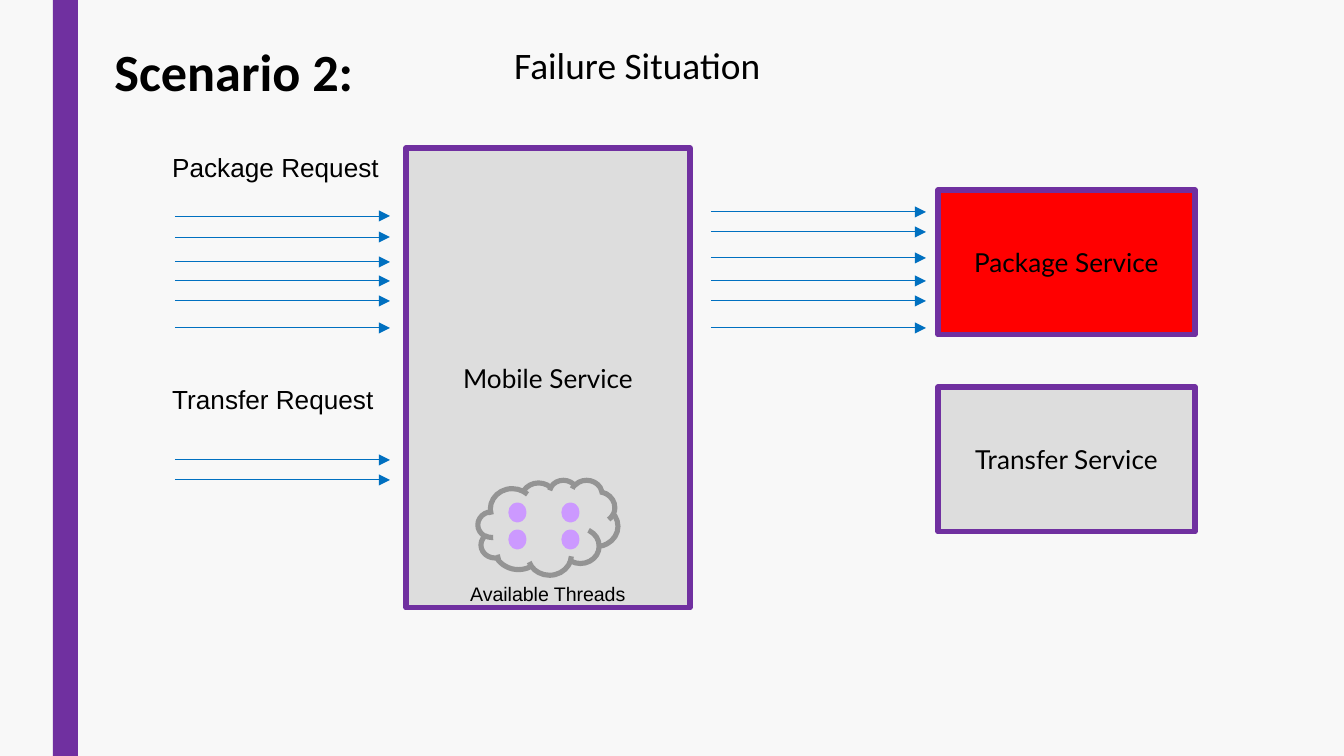
from itertools import product

from lxml.etree import SubElement
from pptx import Presentation
from pptx.dml.color import RGBColor
from pptx.enum.shapes import MSO_CONNECTOR as Connector, MSO_SHAPE as Shape
from pptx.enum.text import MSO_ANCHOR as Anchor, MSO_AUTO_SIZE as AutoSize, PP_ALIGN as Align
from pptx.oxml.ns import qn
from pptx.util import Emu, Pt

EMU_PER_PX = 914400 / 134.4
COLORS = {
    "background": "F8F8F8",
    "purple": "7030A0",
    "box": "DDDDDD",
    "failed": "FF0000",
    "arrow": "0070C0",
    "cloud": "949494",
    "thread": "CC99FF",
    "text": "000000",
}
HEADING = {"name": "Calibri", "size": Pt(28), "bold": True}
SUBHEADING = {"name": "Calibri", "size": Pt(20), "bold": False}
SERVICE = {"name": "Lato", "size": Pt(14)}
REQUEST = {"name": "Arial", "size": Pt(14)}
CAPTION = {"name": "Arial", "size": Pt(10.5)}


def px(*lengths):
    return [Emu(round(length * EMU_PER_PX)) for length in lengths]


def color(name):
    return RGBColor.from_string(COLORS[name])


def write(frame, text, font_format, align=Align.LEFT, anchor=Anchor.TOP):
    frame_format = {"text": text, "word_wrap": True, "vertical_anchor": anchor}
    for name, value in frame_format.items():
        setattr(frame, name, value)
    paragraph = frame.paragraphs[0]
    paragraph.alignment = align
    font = paragraph.runs[0].font
    for name, value in font_format.items():
        setattr(font, name, value)
    font.color.rgb = color("text")


def add_figure(slide, kind, box, fill, line=None):
    figure = slide.shapes.add_shape(kind, *px(*box))
    figure.shadow.inherit = False
    figure.fill.solid()
    figure.fill.fore_color.rgb = color(fill)
    if line:
        figure.line.color.rgb = color(line)
        figure.line.width = Pt(2.75)
    else:
        figure.line.fill.background()
    return figure


def add_service(slide, name, box, fill="box"):
    service = add_figure(slide, Shape.RECTANGLE, box, fill, "purple")
    write(service.text_frame, name, SERVICE, Align.CENTER, Anchor.MIDDLE)


def add_label(slide, text, box, font_format):
    label = slide.shapes.add_textbox(*px(*box))
    write(label.text_frame, text, font_format)
    label.text_frame.auto_size = AutoSize.SHAPE_TO_FIT_TEXT


def add_arrows(slide, left, heights):
    for y in heights:
        arrow = slide.shapes.add_connector(Connector.STRAIGHT, *px(left, y, left + 215, y))
        arrow.line.color.rgb = color("arrow")
        arrow.line.width = Pt(0.5)
        SubElement(arrow.line._get_or_add_ln(), qn("a:tailEnd"), type="triangle")
        SubElement(arrow._element.spPr, qn("a:effectLst"))


def add_title(slide, text, box):
    title = slide.shapes.title
    for name, value in zip(("left", "top", "width", "height"), px(*box)):
        setattr(title, name, value)
    write(title.text_frame, text, HEADING)
    title.text_frame.auto_size = AutoSize.SHAPE_TO_FIT_TEXT


def add_thread_pool(slide):
    add_figure(slide, Shape.CLOUD, (478, 480, 140, 95), "box", "cloud")
    add_label(slide, "Available Threads", (457, 575, 215, 38), CAPTION)
    for x, y in product((511, 564), (505, 532)):
        add_figure(slide, Shape.OVAL, (x, y, 13, 15), "thread", "thread")


def main():
    deck = Presentation()
    deck.slide_width, deck.slide_height = px(1344, 756)
    slide = deck.slides.add_slide(deck.slide_layouts[5])
    slide.background.fill.solid()
    slide.background.fill.fore_color.rgb = color("background")

    # Side bar and headings
    add_figure(slide, Shape.RECTANGLE, (53, 0, 25, 756), "purple")
    add_title(slide, "Scenario 2:", (101, 32, 364, 77))
    add_label(slide, "Failure Situation", (501, 36, 378, 59), SUBHEADING)

    # Services
    add_service(slide, "Mobile Service", (406, 148, 284, 460))
    add_service(slide, "Package Service", (938, 190, 257, 145), "failed")
    add_service(slide, "Transfer Service", (938, 387, 257, 145))
    add_thread_pool(slide)

    # Incoming requests, and the package calls passed on
    add_label(slide, "Package Request", (159, 145, 247, 46), REQUEST)
    add_label(slide, "Transfer Request", (159, 377, 247, 46), REQUEST)
    add_arrows(slide, 175, (216, 237, 262, 281, 301, 328))
    add_arrows(slide, 175, (460, 480))
    add_arrows(slide, 711, (212, 232, 258, 281, 301, 328))

    deck.save("out.pptx")


if __name__ == "__main__":
    main()
